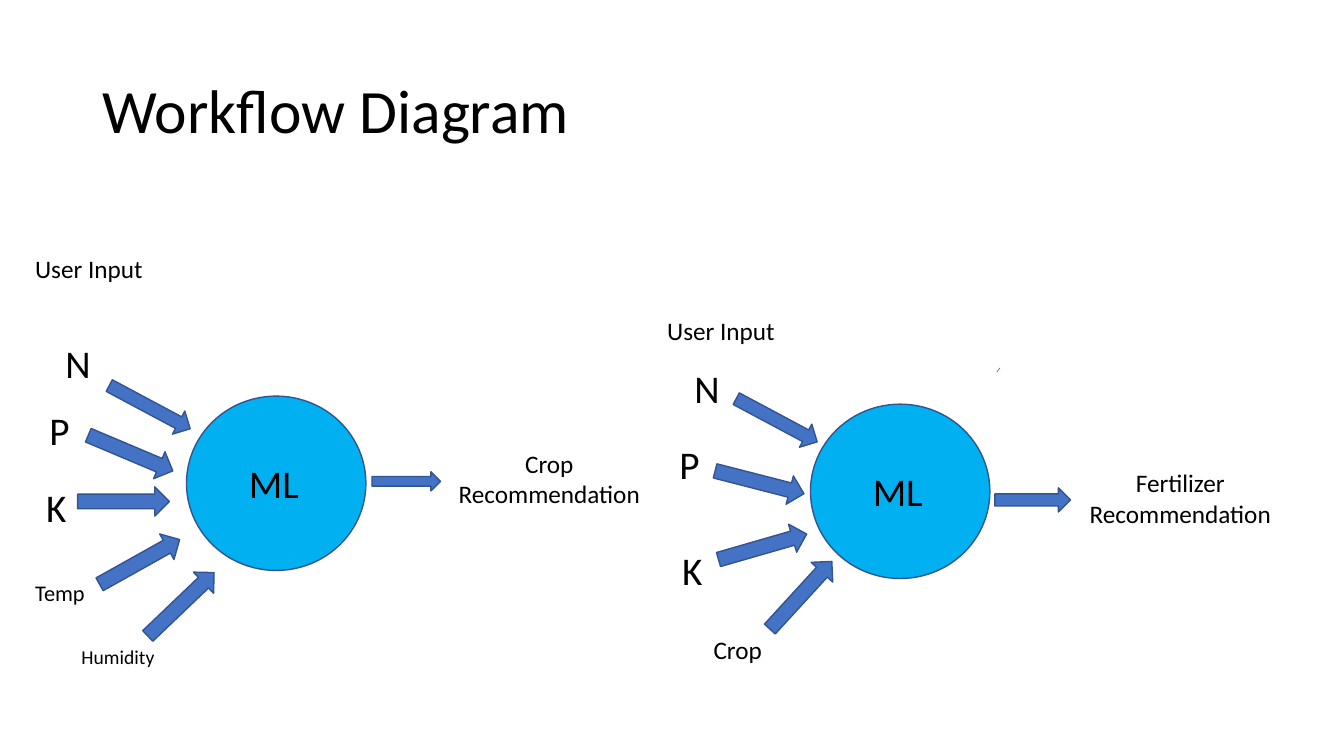
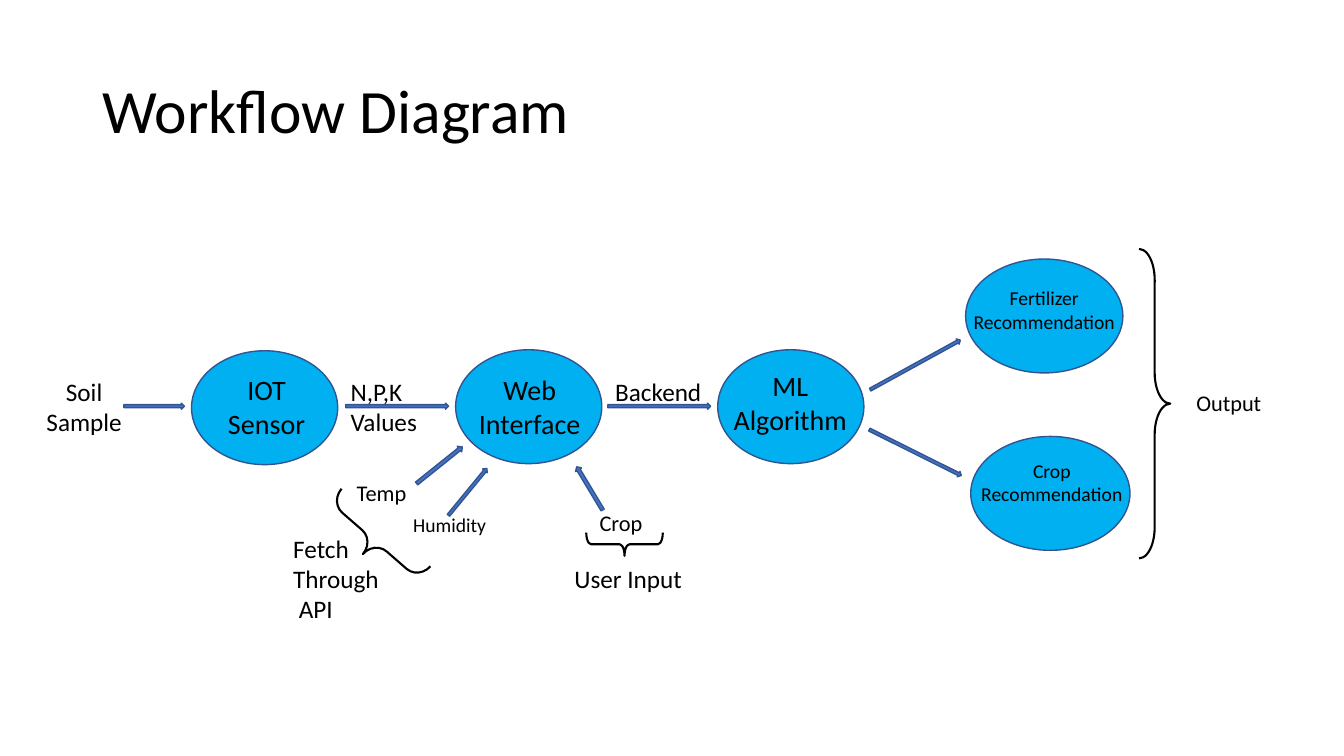
from dataclasses import dataclass
from typing import Any

from lxml.etree import SubElement
from pptx import Presentation
from pptx.dml.color import RGBColor
from pptx.enum.shapes import MSO_CONNECTOR, MSO_SHAPE
from pptx.enum.text import MSO_ANCHOR, PP_ALIGN
from pptx.oxml.ns import qn
from pptx.util import Inches, Pt

COLORS = {
    "text": "000000",
    "node": "00B0F0",
    "arrow": "4472C4",
    "outline": "325491",
}
FONT = "Calibri"
CELL = Inches(0.1)
COLUMNS, ROWS = 133.33, 75
PARAGRAPH_SIZES = {"node": 28, "stage": 20, "note": 18, "small": 16, "tiny": 14}
ARROW_LENGTH, ARROW_THICKNESS = 9.1, 2.9


def color(name):
    """Return a named colour of the palette."""
    return RGBColor.from_string(COLORS[name])


@dataclass
class Region:
    """A part of a page that places objects in grid cells from its corner."""

    page: Any
    left: float
    top: float

    def corner(self, column, row):
        """Return slide lengths for a grid point of the region."""
        return round((self.left + column) * CELL), round((self.top + row) * CELL)

    def shape(self, preset, column, row, width, height, line, weight, fill=None, turn=0):
        """Draw one preset shape."""
        shape = self.page.shapes.add_shape(
            preset, *self.corner(column, row), round(width * CELL), round(height * CELL)
        )
        shape.shadow.inherit = False
        shape.rotation = turn
        if fill:
            shape.fill.solid()
            shape.fill.fore_color.rgb = color(fill)
        else:
            shape.fill.background()
        shape.line.color.rgb = color(line)
        shape.line.width = Pt(weight)
        return shape

    def circle(self, column, row, width, height):
        """Draw a node of the diagram."""
        self.shape(MSO_SHAPE.OVAL, column, row, width, height, "outline", 1, "node")

    def arrow(self, column, row, length=ARROW_LENGTH, thickness=ARROW_THICKNESS, turn=0):
        """Draw a block arrow."""
        self.shape(MSO_SHAPE.RIGHT_ARROW, column, row, length, thickness,
                   "outline", 1, "arrow", turn)

    def brace(self, preset, column, row, width, height, curve, turn=0):
        """Draw an open brace with the given curve."""
        brace = self.shape(preset, column, row, width, height, "text", 1.5, turn=turn)
        brace.adjustments[0] = curve
        brace.adjustments[1] = 0.5

    def label(self, lines, style, column, row, width, centred=False, rows=None):
        """Write paragraphs in a box whose height follows from its text size."""
        size = PARAGRAPH_SIZES[style]
        height = (rows or len(lines)) * size / 6 + 1
        box = self.page.shapes.add_textbox(
            *self.corner(column, row), round(width * CELL), round(height * CELL)
        )
        write(box, lines, size, PP_ALIGN.CENTER if centred else PP_ALIGN.LEFT)


def write(box, lines, size, align=PP_ALIGN.LEFT):
    """Fill a text box with one paragraph per line."""
    frame = box.text_frame
    frame.word_wrap = True
    for index, line in enumerate(lines):
        para = frame.add_paragraph() if index else frame.paragraphs[0]
        para.alignment = align
        span = para.add_run()
        span.text = line
        span.font.name = FONT
        span.font.size = Pt(size)
        span.font.color.rgb = color("text")


def add_page(deck, title):
    """Add a blank page with the shared title."""
    page = deck.slides.add_slide(deck.slide_layouts[6])
    box = page.shapes.add_textbox(
        round(9.2 * CELL), 4 * CELL, 115 * CELL, round(14.5 * CELL)
    )
    write(box, [title], 44)
    box.text_frame.vertical_anchor = MSO_ANCHOR.MIDDLE
    box.text_frame.paragraphs[0].line_spacing = 0.9
    return page


def model_panel(region, inputs, arrows, result, result_arrow, result_spot):
    """Draw a model with its inputs on the left and its result on the right."""
    region.circle(16, 14.7, 17.8, 17.3)
    region.label(["ML"], "node", 21.2, 20.5, 7.5)
    for text, style, column, row, width in inputs:
        region.label([text], style, column, row, width)
    for column, row, thickness, turn in arrows:
        region.arrow(column, row, thickness=thickness, turn=turn)
    region.arrow(*result_arrow)
    region.label([result, "Recommendation"], "note", *result_spot, 23, centred=True)


def stray_stroke(region):
    """Draw the short stroke above the second model."""
    stroke = region.page.shapes.add_connector(
        MSO_CONNECTOR.STRAIGHT, *region.corner(0, 0.4), *region.corner(0.3, 0)
    )
    stroke.line.color.rgb = color("arrow")
    stroke.line.width = Pt(0.5)
    SubElement(stroke._element.spPr, qn("a:effectLst"))


def stage(region, lines, style, size, label_spot, rows=2):
    """Draw an ellipse at the region's corner with a label over it."""
    region.circle(0, 0, *size)
    region.label(lines, style, *label_spot, centred=True, rows=rows)


def pipeline(region):
    """Draw the row of stages from soil sample to algorithm."""
    page, left, top = region.page, region.left, region.top
    stages = [
        (15.5, 0.1, ["IOT Sensor"], (2.3, 1.7, 10.3)),
        (41.7, 0, ["Web", "Interface"], (0.9, 1.8, 12.9)),
        (67.7, 0, ["ML", "Algorithm"], (0.4, 1.4, 13.6)),
    ]
    for column, row, lines, spot in stages:
        stage(Region(page, left + column, top + row), lines, "stage", (14.5, 11.3), spot)
    for column, length in [(8.8, 6), (30.8, 10.2), (56.8, 10.2)]:
        region.arrow(column, 5.3, length, 0.6)
    region.label(["Soil Sample"], "note", 0, 2.1, 9.7, centred=True, rows=2)
    region.label(["N,P,K Values"], "note", 30.3, 2.1, 10.7, rows=2)
    region.label(["Backend"], "note", 56.4, 2.1, 10.8, centred=True)


def side_inputs(region):
    """Draw the values that reach the web interface from below."""
    for text, style, column, row, width in [
        ("Temp", "small", 6.3, 1.2, 7.5),
        ("Humidity", "tiny", 11.9, 4.6, 11.7),
        ("Crop", "small", 30.4, 4.2, 7.6),
        ("User Input", "note", 27.9, 9.6, 15.5),
    ]:
        region.label([text], style, column, row, width)
    region.label(["Fetch Through", " API"], "note", 0, 6.6, 11.1, rows=3)
    region.arrow(12.6, 0, 5.8, 0.7, 321.3)
    region.arrow(15.3, 2.7, 6, 0.6, 309.4)
    region.arrow(27.9, 2.3, 5, 0.7, 239)
    region.brace(MSO_SHAPE.LEFT_BRACE, 7.3, 2, 3.5, 11.7, 0.458, 311.1)
    region.brace(MSO_SHAPE.RIGHT_BRACE, 32.7, 4.4, 2.3, 7.6, 0.209, 90)


def outputs(region):
    """Draw the two recommendations and the brace that joins them."""
    page, left, top = region.page, region.left, region.top
    region.arrow(0, 11.2, 10.2, 0.6, 331.2)
    region.arrow(0, 19.9, 10.2, 0.6, 26.5)
    stage(Region(page, left + 10.1, top + 1), ["Fertilizer", "Recommendation"],
          "tiny", (15.6, 11.3), (-0.5, 2.2, 16.6))
    stage(Region(page, left + 10.6, top + 18.6), ["Crop", "Recommendation"],
          "tiny", (15.8, 11.3), (0, 1.7, 16.1))
    region.brace(MSO_SHAPE.RIGHT_BRACE, 27.3, 0, 3.1, 30.7, 0.99)
    region.label(["Output"], "small", 32, 13.4, 9)


def model_page(deck):
    """Build the page that compares the two models."""
    page = add_page(deck, "Workflow Diagram")
    model_panel(
        Region(page, 2.5, 24.6),
        [
            ("User Input", "note", 0, 0, 14.6),
            ("N", "node", 3, 8.6, 7.4),
            ("P", "node", 1.4, 15.2, 7.5),
            ("K", "node", 1.1, 22.9, 7.5),
            ("Temp", "small", 0, 32.4, 7.5),
            ("Humidity", "tiny", 4.6, 38.9, 11.7),
        ],
        [
            (7.8, 14.5, 2.6, 28.1),
            (5.9, 18.9, 2.9, 22.9),
            (5.2, 23.7, 2.9, 0),
            (6.8, 29.7, 2.9, 330.8),
            (10.9, 33.9, 2.9, 316.3),
        ],
        "Crop", (34.4, 22.2, 6.8, 1.9), (40.5, 19.4),
    )
    model_panel(
        Region(page, 64.4, 25.4),
        [
            ("User Input", "note", 0.8, 5.4, 14.6),
            ("N", "node", 3.5, 10.2, 7.4),
            ("P", "node", 2, 17.8, 6.9),
            ("K", "node", 2.3, 28.3, 5.3),
            ("Crop", "note", 5.4, 37, 7.5),
        ],
        [
            (8.1, 15, 2.6, 28.1),
            (6.4, 21, 2.9, 14.4),
            (6.7, 27.4, 2.9, 343.9),
            (10.5, 32.2, 2.9, 312.5),
        ],
        "Fertilizer", (34.3, 23, 7.5, 2.4), (41.2, 20.5),
    )
    stray_stroke(Region(page, 98.9, 36.5))


def system_page(deck):
    """Build the page that shows the whole system."""
    page = add_page(deck, "Workflow Diagram")
    pipeline(Region(page, 3.5, 34.7))
    side_inputs(Region(page, 28.1, 45.8))
    outputs(Region(page, 85.7, 24.7))


def main():
    """Build and save the deck."""
    deck = Presentation()
    deck.slide_width = round(COLUMNS * CELL)
    deck.slide_height = ROWS * CELL
    model_page(deck)
    system_page(deck)
    deck.save("out.pptx")


if __name__ == "__main__":
    main()
